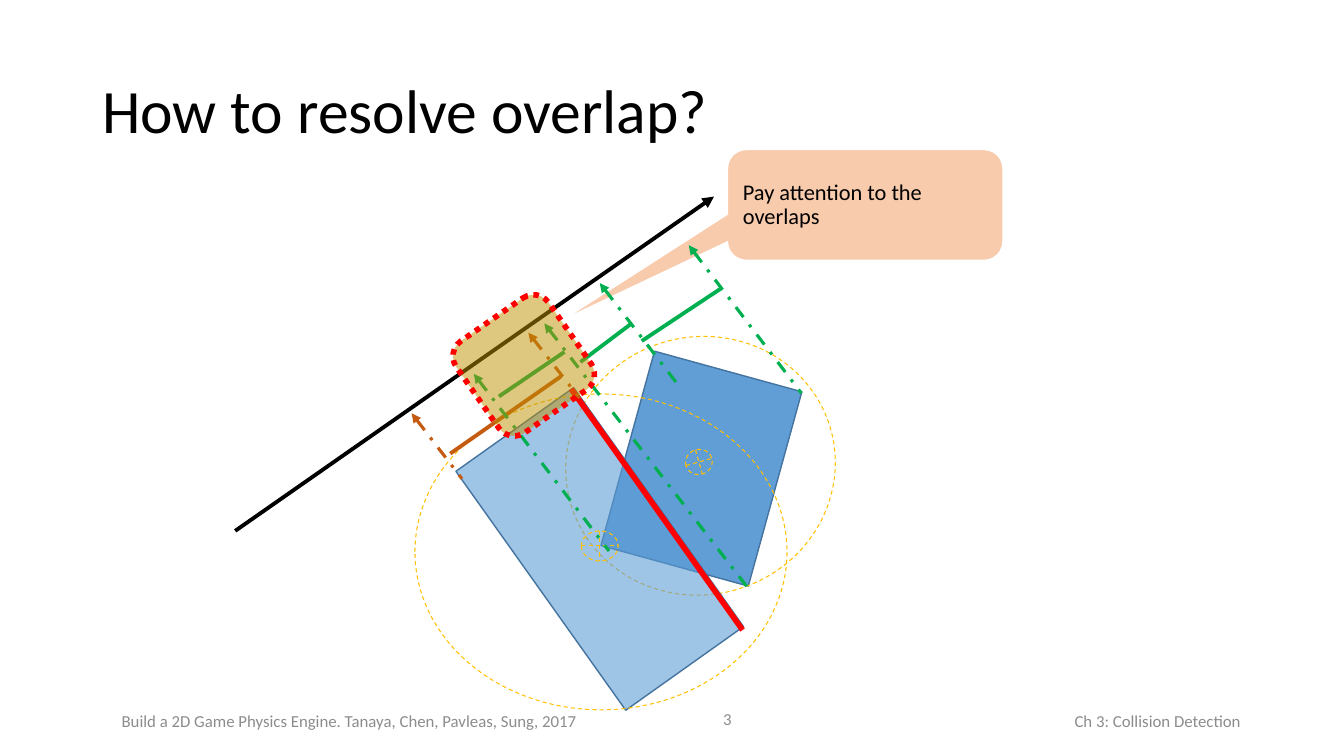
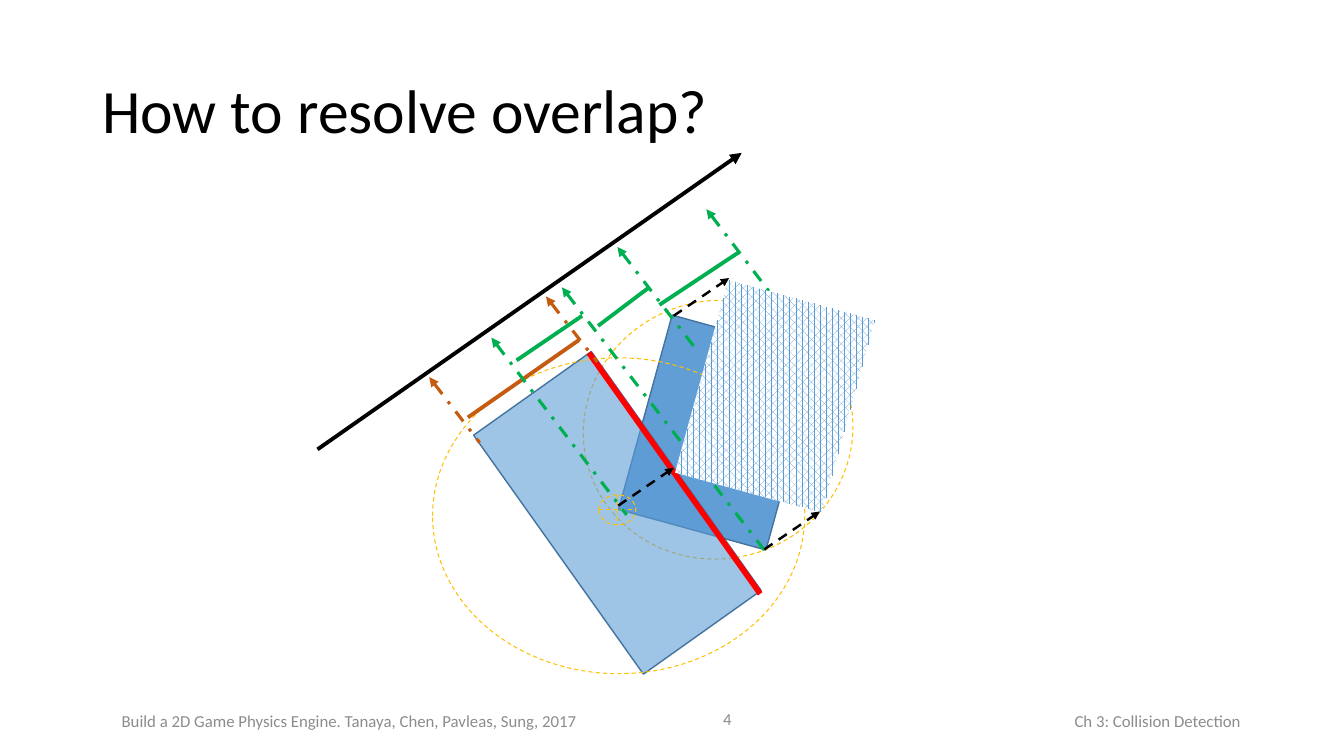
"""Build two slides on resolving the overlap of two colliding rectangles."""
from dataclasses import dataclass

from lxml import etree
from pptx import Presentation
from pptx.dml.color import RGBColor
from pptx.enum.dml import MSO_LINE, MSO_PATTERN
from pptx.enum.shapes import MSO_CONNECTOR, MSO_SHAPE
from pptx.enum.text import MSO_ANCHOR, PP_ALIGN
from pptx.oxml.ns import qn
from pptx.util import Inches, Pt

RECT, ELLIPSE, CENTRE_MARK = MSO_SHAPE.RECTANGLE, MSO_SHAPE.OVAL, MSO_SHAPE.FLOWCHART_OR
ROUNDED, CALLOUT = MSO_SHAPE.ROUNDED_RECTANGLE, MSO_SHAPE.ROUNDED_RECTANGULAR_CALLOUT
DASH, DASH_DOT, DOT = MSO_LINE.DASH, MSO_LINE.DASH_DOT, MSO_LINE.ROUND_DOT
STRAIGHT, PATTERN = MSO_CONNECTOR.STRAIGHT, MSO_PATTERN.PERCENT_60
LEFT, RIGHT, MIDDLE = PP_ALIGN.LEFT, PP_ALIGN.RIGHT, MSO_ANCHOR.MIDDLE


@dataclass(frozen=True)
class Theme:
    font: str = "Calibri"
    title_size: int = 44
    callout_size: int = 16
    footer_size: int = 12
    black: str = "000000"
    white: str = "FFFFFF"
    gray: str = "8C8C8C"
    blue: str = "5B9BD5"
    blue_edge: str = "43739E"
    gold: str = "FFC000"
    dark_gold: str = "BF9000"
    orange: str = "C55A11"
    peach: str = "F8CBAD"
    green: str = "00B050"
    red: str = "FF0000"
    thin: float = 0.75
    edge: float = 1
    push: float = 1.75
    ray: float = 2.25
    span: float = 2.75
    heavy: float = 4


theme = Theme()
COLUMNS, ROWS = 16, 9
prs = Presentation()
prs.slide_width, prs.slide_height = Inches(13.33), Inches(7.5)
column, row = prs.slide_width / COLUMNS, prs.slide_height / ROWS


def add_figure(slide, kind, cells, turn=0, fill=None, opacity=100, edge=None,
               width=theme.edge, dash=None, shift=(0, 0)):
    left, top, wide, high = cells
    figure = slide.shapes.add_shape(
        kind, int((left + shift[0]) * column), int((top + shift[1]) * row),
        int(wide * column), int(high * row))
    figure.shadow.inherit = False
    figure.rotation = turn
    if fill:
        figure.fill.solid()
        figure.fill.fore_color.rgb = RGBColor.from_string(fill)
        if opacity < 100:
            color = figure.fill._xPr.find(qn("a:solidFill"))[0]
            etree.SubElement(color, qn("a:alpha"), val=str(opacity * 1000))
    else:
        figure.fill.background()
    if edge:
        figure.line.color.rgb = RGBColor.from_string(edge)
        figure.line.width = Pt(width)
        if dash:
            figure.line.dash_style = dash
    else:
        figure.line.fill.background()
    return figure


def add_line(slide, ends, color, width, dash=None, arrow=None, shift=(0, 0)):
    x1, y1, x2, y2 = ends
    dx, dy = shift
    line = slide.shapes.add_connector(
        STRAIGHT, int((x1 + dx) * column), int((y1 + dy) * row),
        int((x2 + dx) * column), int((y2 + dy) * row))
    line.line.color.rgb = RGBColor.from_string(color)
    line.line.width = Pt(width)
    if dash:
        line.line.dash_style = dash
    if arrow:
        etree.SubElement(line.line._get_or_add_ln(), qn(arrow), type="triangle")
    etree.SubElement(line._element.spPr, qn("a:effectLst"))


bodies = [
    ((7.44, 4.38, 1.82, 2.4), 15.4, 96,
     (6.73, 4.01, 3.22, 3.07), (8.16, 5.35, 0.32, 0.3), 344.4),
    ((6.28, 4.79, 1.72, 3.49), 324.6, 59,
     (4.94, 4.69, 4.43, 3.76), (6.92, 6.32, 0.44, 0.36), 0),
]
contact_edge = (6.8, 4.63, 8.84, 7.5)
projections = [
    (theme.orange,
     [(4.9, 4.92, 5.5, 5.7), (6.29, 3.96, 6.9, 4.74)],
     [(6.68, 4.48, 5.36, 5.4)]),
    (theme.green,
     [(7.14, 3.37, 8.11, 4.63), (8.2, 2.92, 9.54, 4.68),
      (5.64, 4.45, 7.25, 6.56), (6.48, 3.85, 8.92, 7.02)],
     [(7.64, 4.06, 8.59, 3.43), (6.91, 4.31, 7.52, 3.85), (5.94, 4.72, 6.72, 4.19)]),
]
push_step = (0.66, -0.45)
push_starts = [(9.1, 6.54), (8.02, 3.76), (7.36, 6.02)]
stages = [
    ("3", (0, 0), (2.8, 6.32, 8.5, 2.34)),
    ("4", (0.21, -0.43), (3.78, 5.35, 8.83, 1.82)),
]
frame_texts = [
    ((9.12, 8.34, 5.77, 0.48), "Ch 3: Collision Detection",
     theme.footer_size, theme.gray, RIGHT, 1),
    ((1.33, 8.34, 6.06, 0.48),
     "Build a 2D Game Physics Engine. Tanaya, Chen, Pavleas, Sung, 2017",
     theme.footer_size, theme.gray, LEFT, 1),
    ((7.4, 8.32, 1.43, 0.48), None, theme.footer_size, theme.gray, RIGHT, 1),
    ((1.1, 0.48, 13.8, 1.74), "How to resolve overlap?",
     theme.title_size, theme.black, LEFT, 0.9),
]

for number, shift, axis in stages:
    slide = prs.slides.add_slide(prs.slide_layouts[6])
    overlapping = number == "3"

    texts = []
    for (left, top, wide, high), *content in frame_texts:
        box = slide.shapes.add_textbox(
            int(left * column), int(top * row), int(wide * column), int(high * row))
        texts.append((box.text_frame, *content))
    if overlapping:
        callout = add_figure(slide, CALLOUT, (8.66, 1.78, 3.28, 1.32),
                             fill=theme.peach, edge=theme.white)
        for index, value in enumerate((-1.1, 1.04, 0.17)):
            callout.adjustments[index] = value
        texts.append((callout.text_frame, "Pay attention to the overlaps",
                      theme.callout_size, theme.black, LEFT, 0.9))
    for frame, words, size, color, align, spacing in texts:
        frame.word_wrap = True
        frame.vertical_anchor = MIDDLE
        paragraph = frame.paragraphs[0]
        paragraph.alignment = align
        paragraph.line_spacing = spacing
        run = paragraph.add_run()
        run.text = words or number
        run.font.name = theme.font
        run.font.size = Pt(size)
        run.font.color.rgb = RGBColor.from_string(color)

    for body, turn, opacity, bound, centre, bound_turn in bodies:
        add_figure(slide, RECT, body, turn, theme.blue, opacity, theme.blue_edge, shift=shift)
        for kind, cells in ((ELLIPSE, bound), (CENTRE_MARK, centre)):
            add_figure(slide, kind, cells, bound_turn, edge=theme.gold,
                       width=theme.thin, dash=DASH, shift=shift)

    add_line(slide, contact_edge, theme.red, theme.heavy, shift=shift)
    for color, rays, spans in projections:
        for ray in rays:
            add_line(slide, ray, color, theme.ray, DASH_DOT, "a:headEnd", shift)
        for span in spans:
            add_line(slide, span, color, theme.span, shift=shift)
    add_line(slide, axis, theme.black, theme.span, arrow="a:tailEnd")

    if overlapping:
        add_figure(slide, ROUNDED, (5.57, 3.68, 1.33, 1.34), 55.2, theme.dark_gold, 50,
                   theme.red, theme.heavy, DOT)
    else:
        resolved = add_figure(slide, RECT, (8.32, 3.53, 1.81, 2.38), 15.4)
        resolved.fill.patterned()
        resolved.fill.pattern = PATTERN
        resolved.fill.fore_color.rgb = RGBColor.from_string(theme.blue)
        resolved.fill.back_color.rgb = RGBColor.from_string(theme.white)
        for x, y in push_starts:
            add_line(slide, (x, y, x + push_step[0], y + push_step[1]),
                     theme.black, theme.push, DASH, "a:tailEnd")

prs.save("out.pptx")
